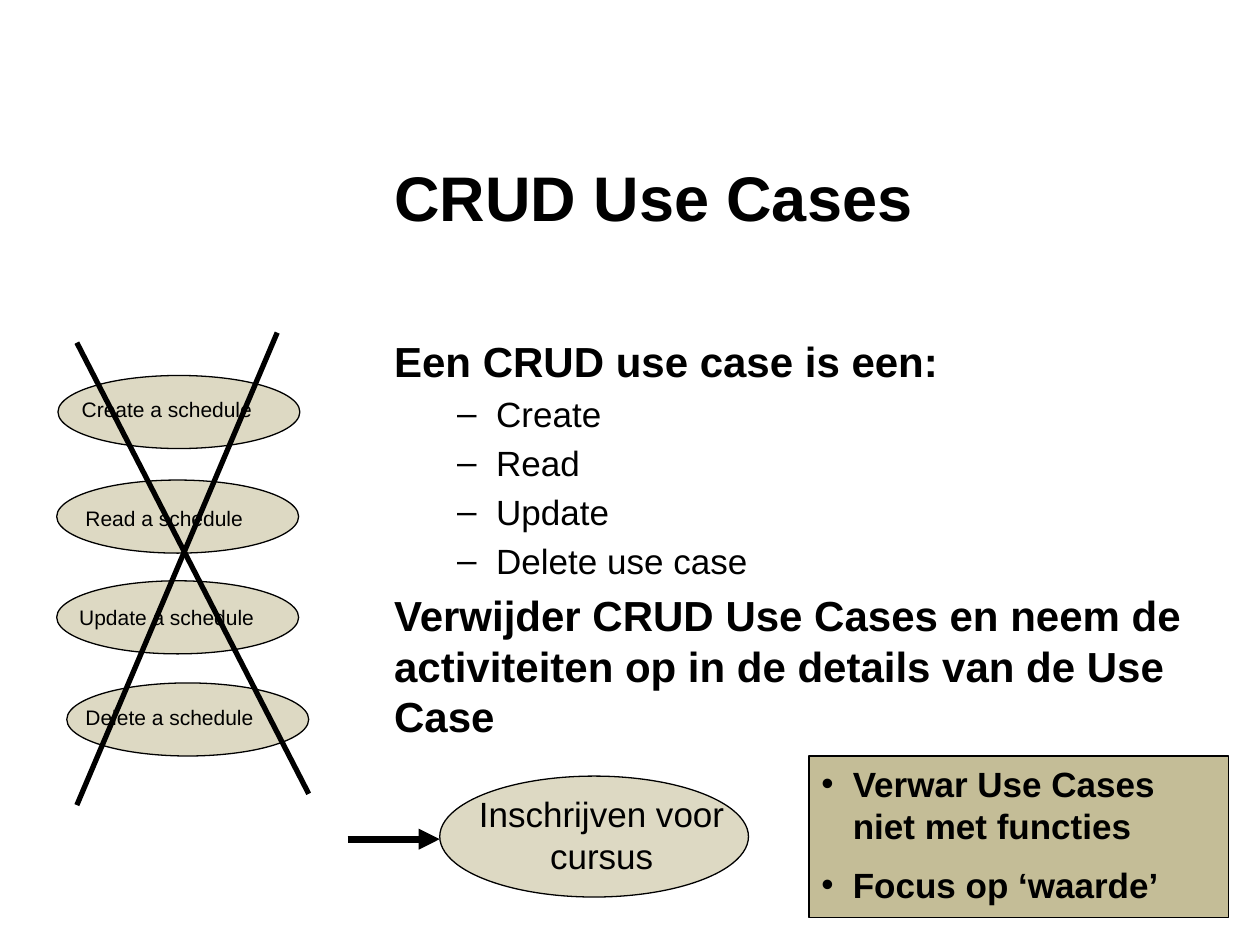
from lxml import etree
from pptx import Presentation
from pptx.dml.color import RGBColor
from pptx.enum.shapes import MSO_CONNECTOR, MSO_SHAPE
from pptx.enum.text import MSO_ANCHOR, PP_ALIGN
from pptx.oxml.ns import qn
from pptx.util import Inches, Pt

OVAL, RECTANGLE = MSO_SHAPE.OVAL, MSO_SHAPE.RECTANGLE
STRAIGHT = MSO_CONNECTOR.STRAIGHT
TOP, MIDDLE = MSO_ANCHOR.TOP, MSO_ANCHOR.MIDDLE
LEFT, CENTER = PP_ALIGN.LEFT, PP_ALIGN.CENTER

FONT = "Arial"
BLACK, SAND, KHAKI = "000000", "DDD9C3", "C4BD97"

# Content column shared by title and body
COLUMN_LEFT, COLUMN_WIDTH = 3.03, 6.67
OVAL_WIDTH, OVAL_HEIGHT = 1.92, 0.58

# Label, oval left, oval top, label left, label top
CRUD_CASES = [
    ("Create a schedule", 0.46, 2.98, 0.55, 3.1),
    ("Read a schedule", 0.45, 3.81, 0.58, 3.96),
    ("Update a schedule", 0.45, 4.61, 0.53, 4.75),
    ("Delete a schedule", 0.53, 5.42, 0.58, 5.54),
]
OPERATIONS = ["Create", "Read", "Update", "Delete use case"]
ADVICE = ("Verwijder CRUD Use Cases en neem de activiteiten op "
          "in de details van de Use Case")
WARNINGS = ["Verwar Use Cases niet met functies", "Focus op ‘waarde’"]


def color(value):
    return RGBColor.from_string(value)


def set_bullet(paragraph, character, margin, hanging):
    properties = paragraph._p.get_or_add_pPr()
    properties.set("marL", str(Inches(margin)))
    properties.set("indent", str(-Inches(hanging)))
    etree.SubElement(properties, qn("a:buFont")).set("typeface", FONT)
    etree.SubElement(properties, qn("a:buChar")).set("char", character)


def write(shape, lines, spacing=0, anchor=TOP, align=LEFT):
    """Fill a shape with lines of (text, size, bold, bullet or None)."""
    frame = shape.text_frame
    frame.word_wrap = True
    frame.vertical_anchor = anchor
    frame.text = "\n".join(line[0] for line in lines)
    for index, (paragraph, line) in enumerate(zip(frame.paragraphs, lines)):
        _, size, bold, bullet = line
        paragraph.alignment = align
        if index:
            paragraph.space_before = Pt(size * spacing)
        if bullet:
            set_bullet(paragraph, *bullet)
        for run in paragraph.runs:
            run.font.name = FONT
            run.font.size = Pt(size)
            run.font.bold = bold
            run.font.color.rgb = color(BLACK)


def add_text(slide, box, lines, **options):
    shape = slide.shapes.add_textbox(*map(Inches, box))
    write(shape, lines, **options)


def add_shape(slide, kind, box, fill):
    shape = slide.shapes.add_shape(kind, *map(Inches, box))
    shape.shadow.inherit = False
    shape.fill.solid()
    shape.fill.fore_color.rgb = color(fill)
    shape.line.color.rgb = color(BLACK)
    shape.line.width = Pt(0.75)
    return shape


def add_line(slide, start, end, width, arrow=False):
    connector = slide.shapes.add_connector(
        STRAIGHT, *map(Inches, start + end))
    connector.line.color.rgb = color(BLACK)
    connector.line.width = Pt(width)
    if arrow:
        line = connector.line._get_or_add_ln()
        etree.SubElement(line, qn("a:tailEnd")).set("type", "triangle")
    etree.SubElement(connector._element.spPr, qn("a:effectLst"))


def main():
    presentation = Presentation()
    presentation.slide_width = Inches(10)
    presentation.slide_height = Inches(7.5)
    slide = presentation.slides.add_slide(presentation.slide_layouts[6])

    # Title and body
    add_text(slide, (COLUMN_LEFT, 1.2, COLUMN_WIDTH, 0.71),
             [("CRUD Use Cases", 36, True, None)], anchor=MIDDLE)
    dash = ("–", 0.81, 0.31)
    body = [("Een CRUD use case is een:", 24, True, None)]
    body += [(operation, 20, False, dash) for operation in OPERATIONS]
    body.append((ADVICE, 24, True, None))
    add_text(slide, (COLUMN_LEFT, 2.61, COLUMN_WIDTH, 4.32), body,
             spacing=0.2)

    # Use cases to drop
    for label, left, top, label_left, label_top in CRUD_CASES:
        add_shape(slide, OVAL, (left, top, OVAL_WIDTH, OVAL_HEIGHT), SAND)
        add_text(slide, (label_left, label_top, 1.85, 0.3),
                 [(label, 12, False, None)])

    # Use case that replaces them
    add_shape(slide, OVAL, (3.49, 6.16, 2.45, 0.96), SAND)
    add_text(slide, (3.6, 6.24, 2.35, 0.77),
             [("Inschrijven voor\vcursus", 20, False, None)], align=CENTER)
    add_line(slide, (2.76, 6.66), (3.49, 6.66), 4, arrow=True)

    # Cross over the dropped use cases
    add_line(slide, (0.61, 2.72), (2.45, 6.3), 3)
    add_line(slide, (2.2, 2.64), (0.61, 6.39), 3)

    # Warning box
    warning_box = add_shape(slide, RECTANGLE, (6.42, 6, 3.33, 1.28), KHAKI)
    dot = ("•", 0.25, 0.25)
    write(warning_box, [(text, 20, True, dot) for text in WARNINGS],
          spacing=0.5)

    presentation.save("out.pptx")


if __name__ == "__main__":
    main()
